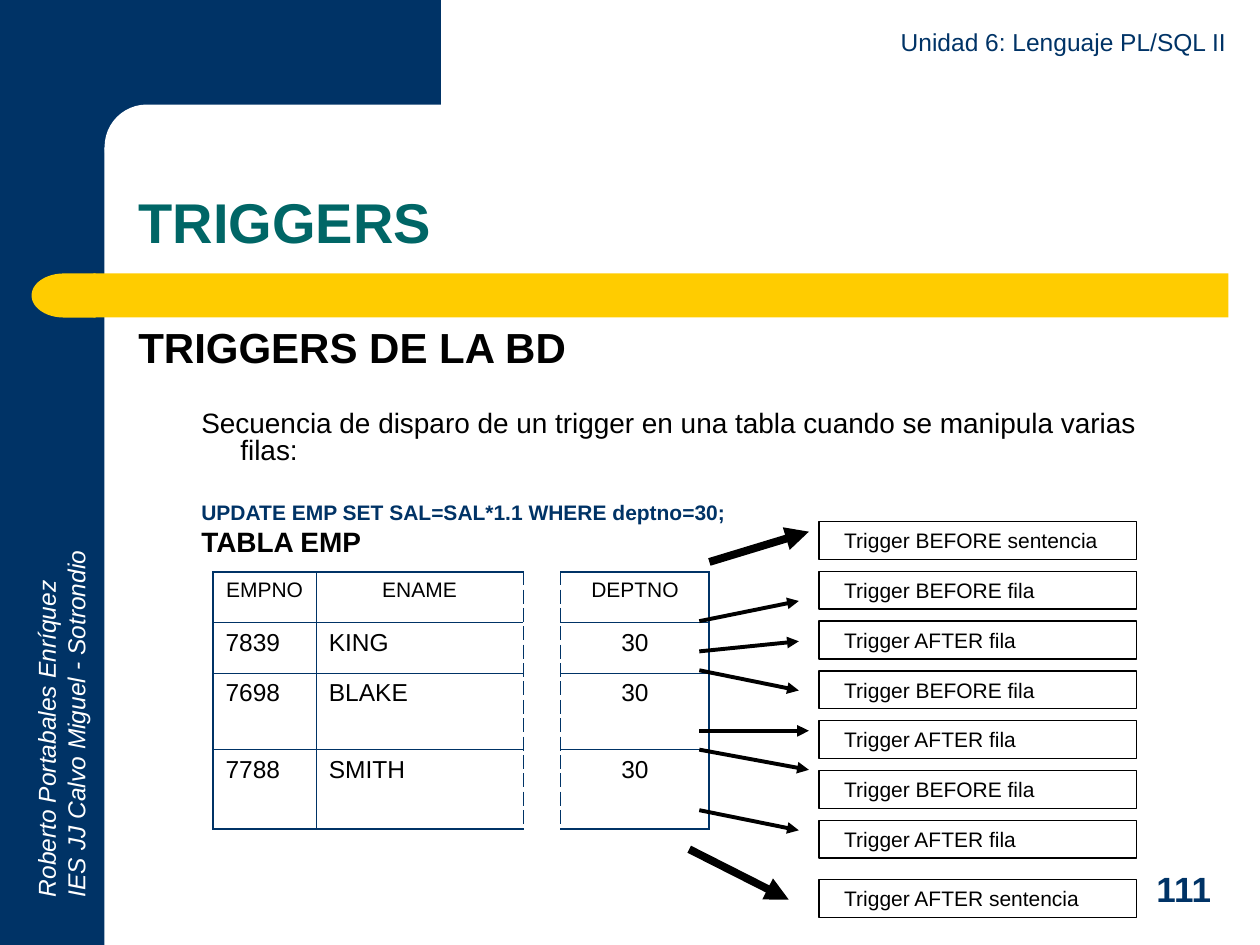
import pptx
import pptx.util
import pptx.dml.color
import pptx.enum.shapes
import pptx.enum.text
import pptx.oxml
import pptx.oxml.ns
from lxml import etree

Inches = pptx.util.Inches
Pt = pptx.util.Pt
RGBColor = pptx.dml.color.RGBColor
SHAPE = pptx.enum.shapes.MSO_SHAPE
ALIGN = pptx.enum.text.PP_ALIGN
ANCHOR = pptx.enum.text.MSO_ANCHOR
qn = pptx.oxml.ns.qn

NAVY = RGBColor(0x00, 0x33, 0x66)
YELLOW = RGBColor(0xFF, 0xCC, 0x00)
TEAL = RGBColor(0x00, 0x66, 0x66)
WHITE = RGBColor(0xFF, 0xFF, 0xFF)
BLACK = RGBColor(0x00, 0x00, 0x00)

TABLE_ROWS = [
    ("EMPNO", "ENAME", "", "DEPTNO"),
    ("7839", "KING", "", "30"),
    ("7698", "BLAKE", "", "30"),
    ("7788", "SMITH", "", "30"),
]
COLUMN_WIDTHS = (0.82, 1.64, 0.3, 1.18)
ROW_HEIGHTS = (0.36, 0.38, 0.61, 0.63)
GAP_COLUMN = 2
THIN, THICK = 0.45, 1.08


def set_values(target, values):
    for name, value in values.items():
        setattr(target, name, value)


def write_paragraph(paragraph, text, size, color, bold=False, italic=False, **layout):
    set_values(paragraph, layout)
    run = paragraph.add_run()
    run.text = text
    set_values(run.font, {"name": "Arial", "size": Pt(size), "bold": bold, "italic": italic})
    run.font.color.rgb = color


def add_text(slide, box, lines, anchor=ANCHOR.TOP, **style):
    shape = slide.shapes.add_textbox(*map(Inches, box))
    frame = shape.text_frame
    set_values(frame, {"word_wrap": True, "vertical_anchor": anchor})
    for index, line in enumerate(lines):
        paragraph = frame.add_paragraph() if index else frame.paragraphs[0]
        write_paragraph(paragraph, line, **style)
    return shape


def add_block(slide, kind, box, color):
    shape = slide.shapes.add_shape(kind, *map(Inches, box))
    shape.shadow.inherit = False
    shape.fill.solid()
    shape.fill.fore_color.rgb = color
    shape.line.fill.background()
    return shape


def add_frame(slide, box):
    left, top, width, height = box
    # Navy side bar and top block with a rounded inner corner
    add_block(slide, SHAPE.RECTANGLE, (left, top, 0.83, height), NAVY)
    add_block(slide, SHAPE.RECTANGLE, (left + 0.75, top, 2.75, 1.17), NAVY)
    corner = add_block(slide, SHAPE.ROUNDED_RECTANGLE, (left + 0.83, top + 0.83, 5.58, 0.67), WHITE)
    corner.adjustments[0] = 0.5
    # Yellow band with a round left end
    add_block(slide, SHAPE.RECTANGLE, (left + 0.74, top + 2.17, width - 0.99, 0.35), YELLOW)
    band_end = add_block(slide, SHAPE.FLOWCHART_DELAY, (left + 0.25, top + 2.17, 0.51, 0.35), YELLOW)
    band_end.rotation = 180
    # Author, unit and page number
    author = add_text(slide, (left - 1.17, top + 5.28, 3.31, 0.57),
                      ["Roberto Portabales Enríquez", "IES JJ Calvo Miguel - Sotrondio"],
                      size=14, color=WHITE, italic=True)
    author.rotation = 270
    add_text(slide, (left + 3.58, top + 0.16, 6.25, 0.34), ["Unidad 6: Lenguaje PL/SQL II"],
             ANCHOR.BOTTOM, size=14, color=NAVY, alignment=ALIGN.RIGHT)
    add_text(slide, (left + 9.08, top + 6.83, 0.75, 0.44), ["111"],
             ANCHOR.MIDDLE, size=20, color=NAVY, bold=True)


def add_title(slide, box):
    title = slide.shapes.title
    set_values(title, dict(zip(("left", "top", "width", "height"), map(Inches, box))))
    title.text_frame.vertical_anchor = ANCHOR.BOTTOM
    write_paragraph(title.text_frame.paragraphs[0], "TRIGGERS", 32, TEAL, bold=True,
                    alignment=ALIGN.LEFT, line_spacing=0.9)


def add_body(slide, box):
    # Text, size, colour, bold, space before, indented
    lines = [
        ("TRIGGERS DE LA BD", 24, BLACK, True, 0, False),
        ("Secuencia de disparo de un trigger en una tabla cuando se manipula varias filas:",
         16, BLACK, False, 23, True),
        ("UPDATE EMP SET SAL=SAL*1.1 WHERE deptno=30;", 12, NAVY, True, 22, True),
        ("TABLA EMP", 16, BLACK, True, 4, True),
    ]
    frame = slide.shapes.add_textbox(*map(Inches, box)).text_frame
    frame.word_wrap = True
    for index, (text, size, color, bold, space, indented) in enumerate(lines):
        paragraph = frame.add_paragraph() if index else frame.paragraphs[0]
        if indented:
            properties = paragraph._p.get_or_add_pPr()
            properties.set("marL", str(Inches(0.81)))
            properties.set("indent", str(Inches(-0.31)))
        write_paragraph(paragraph, text, size, color, bold,
                        line_spacing=0.8, space_before=Pt(space))


def set_border(cell, side, width, dash="solid"):
    line = etree.SubElement(cell._tc.get_or_add_tcPr(), qn("a:" + side), w=str(Pt(width)))
    if not width:
        etree.SubElement(line, qn("a:noFill"))
        return
    fill = etree.SubElement(line, qn("a:solidFill"))
    etree.SubElement(fill, qn("a:srgbClr"), val=str(NAVY))
    etree.SubElement(line, qn("a:prstDash"), val=dash)


def add_employee_table(slide, box):
    table = slide.shapes.add_table(len(TABLE_ROWS), len(COLUMN_WIDTHS), *map(Inches, box)).table
    set_values(table, {"first_row": False, "horz_banding": False})
    for column, width in zip(table.columns, COLUMN_WIDTHS):
        column.width = Inches(width)
    for row, height in zip(table.rows, ROW_HEIGHTS):
        row.height = Inches(height)
    last_row, last_column = len(TABLE_ROWS) - 1, len(COLUMN_WIDTHS) - 1
    for row, texts in enumerate(TABLE_ROWS):
        for column, text in enumerate(texts):
            cell = table.cell(row, column)
            gap = column == GAP_COLUMN
            # Dashed sides face the gap that stands for the omitted columns
            set_border(cell, "lnL", THIN if column else THICK,
                       "dash" if column >= GAP_COLUMN else "solid")
            set_border(cell, "lnR", THICK if column == last_column else THIN,
                       "dash" if column in (GAP_COLUMN - 1, GAP_COLUMN) else "solid")
            set_border(cell, "lnT", 0 if gap else THIN if row else THICK)
            set_border(cell, "lnB", 0 if gap else THICK if row == last_row else THIN)
            cell.fill.background()
            if text:
                centred = row == 0 or column == last_column
                write_paragraph(cell.text_frame.paragraphs[0], text, 14 if row else 12, BLACK,
                                alignment=ALIGN.CENTER if centred else ALIGN.LEFT)


def add_arrow(slide, start, end, weight):
    arrow = slide.shapes.add_connector(pptx.enum.shapes.MSO_CONNECTOR.STRAIGHT,
                                       *map(Inches, start + end))
    arrow.line.color.rgb = BLACK
    arrow.line.width = Pt(weight)
    etree.SubElement(arrow.line._get_or_add_ln(), qn("a:tailEnd"), type="triangle")
    etree.SubElement(arrow._element.spPr, qn("a:effectLst"))


def add_trigger_sequence(slide, box):
    left, top, width, height = box
    label_width, label_height, pitch = 2.52, 0.3, 0.395
    row_labels = ["Trigger BEFORE fila", "Trigger AFTER fila"] * 3
    labels = ["Trigger BEFORE sentencia", *row_labels, "Trigger AFTER sentencia"]
    # Labels at an equal pitch, the last one at the foot of the box
    for index, text in enumerate(labels):
        is_last = index == len(labels) - 1
        offset = height - label_height if is_last else index * pitch
        label = slide.shapes.add_shape(SHAPE.RECTANGLE, *map(Inches, (
            left + width - label_width, top + offset, label_width, label_height)))
        label.shadow.inherit = False
        label.fill.background()
        label.line.color.rgb = BLACK
        label.line.width = Pt(0.75)
        set_values(label.text_frame, {"word_wrap": True, "vertical_anchor": ANCHOR.MIDDLE,
                                      "margin_left": Inches(0.2)})
        write_paragraph(label.text_frame.paragraphs[0], text, 12, BLACK, alignment=ALIGN.LEFT)
    # Arrows from table to labels: start x, start y, end x, end y, weight
    arrows = [
        (0.16, 0.32, 0.95, 0.08, 4.5),
        (0.08, 0.79, 0.87, 0.63, 2.25),
        (0.08, 1.03, 0.87, 0.95, 2.25),
        (0.08, 1.18, 0.87, 1.34, 2.25),
        (0.08, 1.66, 0.95, 1.66, 2.25),
        (0.08, 1.81, 0.95, 1.97, 2.25),
        (0.08, 2.29, 0.87, 2.45, 2.25),
        (0, 2.6, 0.79, 3, 4.5),
    ]
    for start_x, start_y, end_x, end_y, weight in arrows:
        add_arrow(slide, (left + start_x, top + start_y), (left + end_x, top + end_y), weight)


def main():
    presentation = pptx.Presentation()
    set_values(presentation, {"slide_width": Inches(10), "slide_height": Inches(7.5)})
    slide = presentation.slides.add_slide(presentation.slide_layouts[5])
    add_frame(slide, (0, 0, 10, 7.5))
    add_title(slide, (1, 0.83, 8.75, 1.25))
    add_body(slide, (1, 2.58, 8.57, 4.08))
    add_employee_table(slide, (1.69, 4.54, 3.94, 1.97))
    add_trigger_sequence(slide, (5.47, 4.14, 3.55, 3.14))
    presentation.save("out.pptx")


if __name__ == "__main__":
    main()
